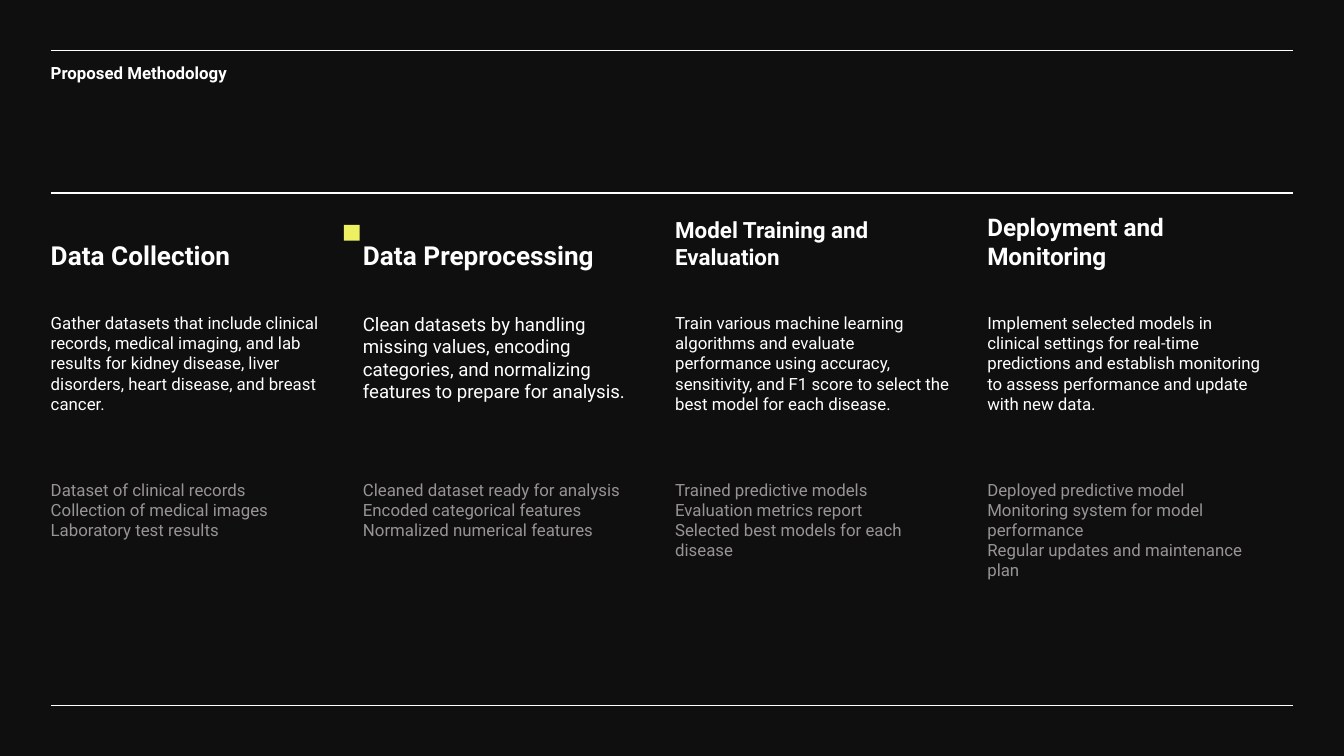
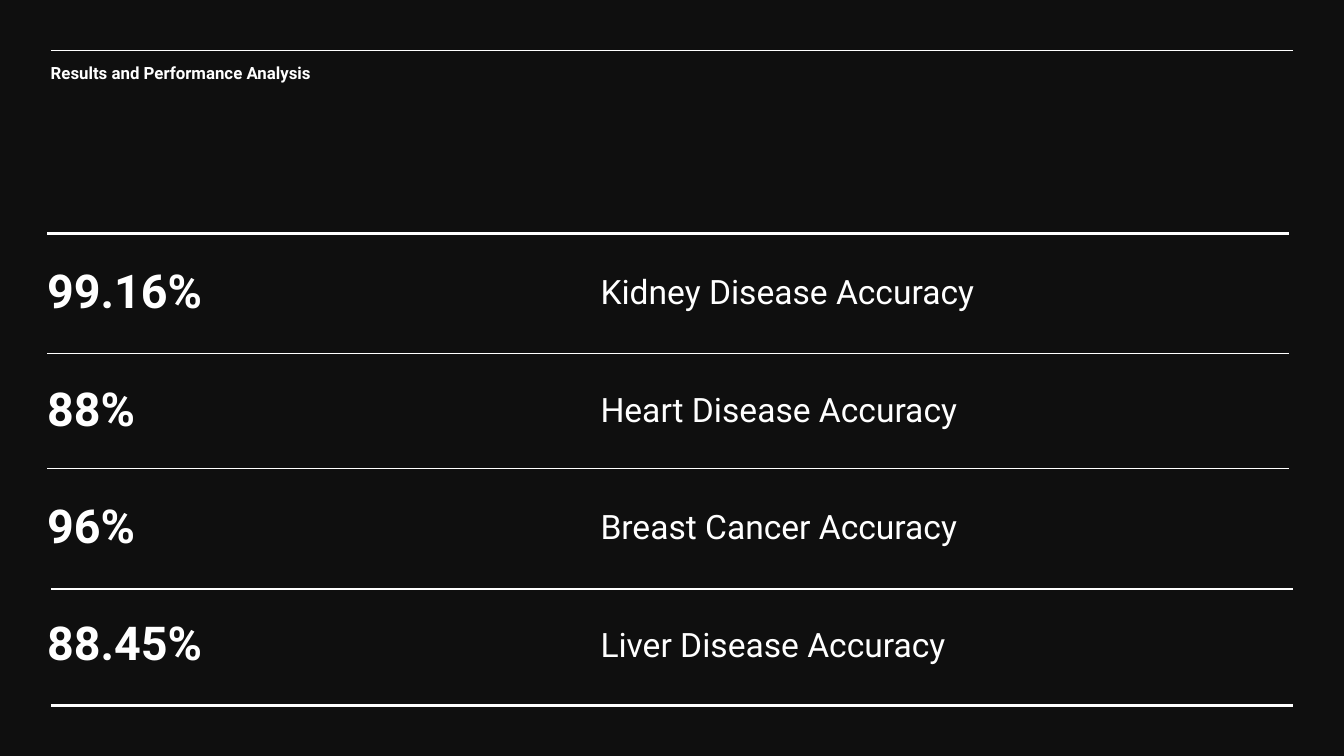
from dataclasses import dataclass

from lxml import etree
from pptx import Presentation
from pptx import util as u
from pptx.dml.color import RGBColor
from pptx.enum import shapes, text
from pptx.oxml.ns import qn
from pptx.slide import Slide

# Shared look, lengths in centimetres
FONT = "Roboto"
BACKGROUND, WHITE, GREY, YELLOW = "0F0F0F", "FFFFFF", "999494", "EDF060"
LEFT, RULE_WIDTH = 0.96, 23.48
TOP_RULE, BOTTOM_RULE = 0.96, 13.34
THIN, THICK = 0.75, 1.5
PAD = 0.25

# Grid of the methodology columns
COLUMN_PITCH, COLUMN_WIDTH = 5.9, 5.46
HEADING_TOP, HEADING_HEIGHT = 3.84, 1.27
BODY_TOP, BODY_HEIGHT = 5.66, 3.15

# Grid of the result rows
ROW_LEFT, LABEL_LEFT = 0.89, 11.35
ROW_TOP, ROW_HEIGHT = 4.47, 2.22


@dataclass(frozen=True)
class Style:
    size: float
    bold: bool = False
    color: str = WHITE
    anchor: text.MSO_ANCHOR = text.MSO_ANCHOR.TOP
    pad_right: float = 0
    pad_vertical: float = PAD
    space_after: float = 0
    line_spacing: float = 1.0


@dataclass(frozen=True)
class Step:
    heading: str
    heading_size: float
    body: str
    body_size: float
    outputs: tuple[str, ...]


@dataclass(frozen=True)
class Result:
    accuracy: str
    label: str


@dataclass(frozen=True)
class Rule:
    left: float
    top: float
    weight: float = THIN


TITLE = Style(9, bold=True, space_after=8)
ACCURACY = Style(25, bold=True, anchor=text.MSO_ANCHOR.MIDDLE,
                 space_after=10, line_spacing=0.8)
LABEL = Style(18, anchor=text.MSO_ANCHOR.MIDDLE,
              space_after=10, line_spacing=0.8)
OUTPUTS = Style(9, color=GREY, pad_right=PAD)

STEPS = (
    Step("Data Collection", 14,
         "Gather datasets that include clinical records, medical imaging, and "
         "lab results for kidney disease, liver disorders, heart disease, and "
         "breast cancer.", 9,
         ("Dataset of clinical records", "Collection of medical images",
          "Laboratory test results")),
    Step("Data Preprocessing", 14,
         "Clean datasets by handling missing values, encoding categories, and "
         "normalizing features to prepare for analysis.", 10,
         ("Cleaned dataset ready for analysis", "Encoded categorical features",
          "Normalized numerical features")),
    Step("Model Training and Evaluation", 12,
         "Train various machine learning algorithms and evaluate performance "
         "using accuracy, sensitivity, and F1 score to select the best model "
         "for each disease.", 9,
         ("Trained predictive models", "Evaluation metrics report",
          "Selected best models for each disease")),
    Step("Deployment and Monitoring", 13,
         "Implement selected models in clinical settings for real-time "
         "predictions and establish monitoring to assess performance and "
         "update with new data.", 9,
         ("Deployed predictive model", "Monitoring system for model performance",
          "Regular updates and maintenance plan")),
)

RESULTS = (
    Result("99.16%", "Kidney Disease Accuracy"),
    Result("88%", "Heart Disease Accuracy"),
    Result("96%", "Breast Cancer Accuracy"),
    Result("88.45%", "Liver Disease Accuracy"),
)

RESULT_RULES = (
    Rule(ROW_LEFT, 4.42, THICK),
    Rule(ROW_LEFT, 6.68),
    Rule(ROW_LEFT, 8.86),
    Rule(LEFT, 11.13),
    Rule(LEFT, BOTTOM_RULE, THICK),
)


def rgb(color: str) -> RGBColor:
    return RGBColor.from_string(color)


def add_text(page: Slide, lines: tuple[str, ...], left: float, top: float,
             width: float, height: float, style: Style) -> None:
    box = page.shapes.add_textbox(u.Cm(left), u.Cm(top), u.Cm(width), u.Cm(height))
    frame = box.text_frame
    frame.word_wrap = True
    frame.vertical_anchor = style.anchor
    frame.margin_left, frame.margin_right = 0, u.Cm(style.pad_right)
    frame.margin_top = frame.margin_bottom = u.Cm(style.pad_vertical)
    frame.text = "\n".join(lines)
    for para in frame.paragraphs:
        para.space_after = u.Pt(style.space_after)
        para.line_spacing = style.line_spacing
        para.font.name = FONT
        para.font.size = u.Pt(style.size)
        para.font.bold = style.bold
        para.font.color.rgb = rgb(style.color)


def add_rule(page: Slide, rule: Rule) -> None:
    line = page.shapes.add_connector(
        shapes.MSO_CONNECTOR.STRAIGHT, u.Cm(rule.left), u.Cm(rule.top),
        u.Cm(rule.left + RULE_WIDTH), u.Cm(rule.top))
    line.line.color.rgb = rgb(WHITE)
    line.line.width = u.Pt(rule.weight)
    etree.SubElement(line._element.spPr, qn("a:effectLst"))


def add_page(deck: Presentation, title: str) -> Slide:
    """Add a dark page with its top rule and title."""
    page = deck.slides.add_slide(deck.slide_layouts[6])
    page.background.fill.solid()
    page.background.fill.fore_color.rgb = rgb(BACKGROUND)
    add_rule(page, Rule(LEFT, TOP_RULE))
    add_text(page, (title,), LEFT, 0.99, 14.91, 0.86, TITLE)
    return page


def add_step(page: Slide, step: Step, left: float) -> None:
    heading = Style(step.heading_size, bold=True, anchor=text.MSO_ANCHOR.BOTTOM,
                    pad_right=PAD, pad_vertical=0)
    body = Style(step.body_size, pad_right=PAD)
    add_text(page, (step.heading,), left, HEADING_TOP,
             COLUMN_WIDTH, HEADING_HEIGHT, heading)
    add_text(page, (step.body,), left, BODY_TOP, COLUMN_WIDTH, BODY_HEIGHT, body)
    add_text(page, step.outputs, left, BODY_TOP + BODY_HEIGHT,
             COLUMN_WIDTH, BODY_HEIGHT, OUTPUTS)


def build_methodology(deck: Presentation) -> None:
    page = add_page(deck, "Proposed Methodology")
    for index, step in enumerate(STEPS):
        add_step(page, step, LEFT + index * COLUMN_PITCH)
    for top in (3.65, BOTTOM_RULE):
        add_rule(page, Rule(LEFT, top))

    # Marker beside the second step
    marker = page.shapes.add_shape(shapes.MSO_SHAPE.RECTANGLE, u.Cm(6.5),
                                   u.Cm(4.25), u.Cm(0.3), u.Cm(0.3))
    marker.shadow.inherit = False
    marker.fill.solid()
    marker.fill.fore_color.rgb = rgb(YELLOW)
    marker.line.fill.background()


def build_results(deck: Presentation) -> None:
    page = add_page(deck, "Results and Performance Analysis")
    for index, result in enumerate(RESULTS):
        top = ROW_TOP + index * ROW_HEIGHT
        add_text(page, (result.accuracy,), ROW_LEFT, top, 9.75, ROW_HEIGHT, ACCURACY)
        add_text(page, (result.label,), LABEL_LEFT, top, 13, ROW_HEIGHT, LABEL)
    for rule in RESULT_RULES:
        add_rule(page, rule)


def main() -> None:
    deck = Presentation()
    deck.slide_width, deck.slide_height = u.Cm(25.4), u.Cm(14.29)
    build_methodology(deck)
    build_results(deck)
    deck.save("out.pptx")


if __name__ == "__main__":
    main()
